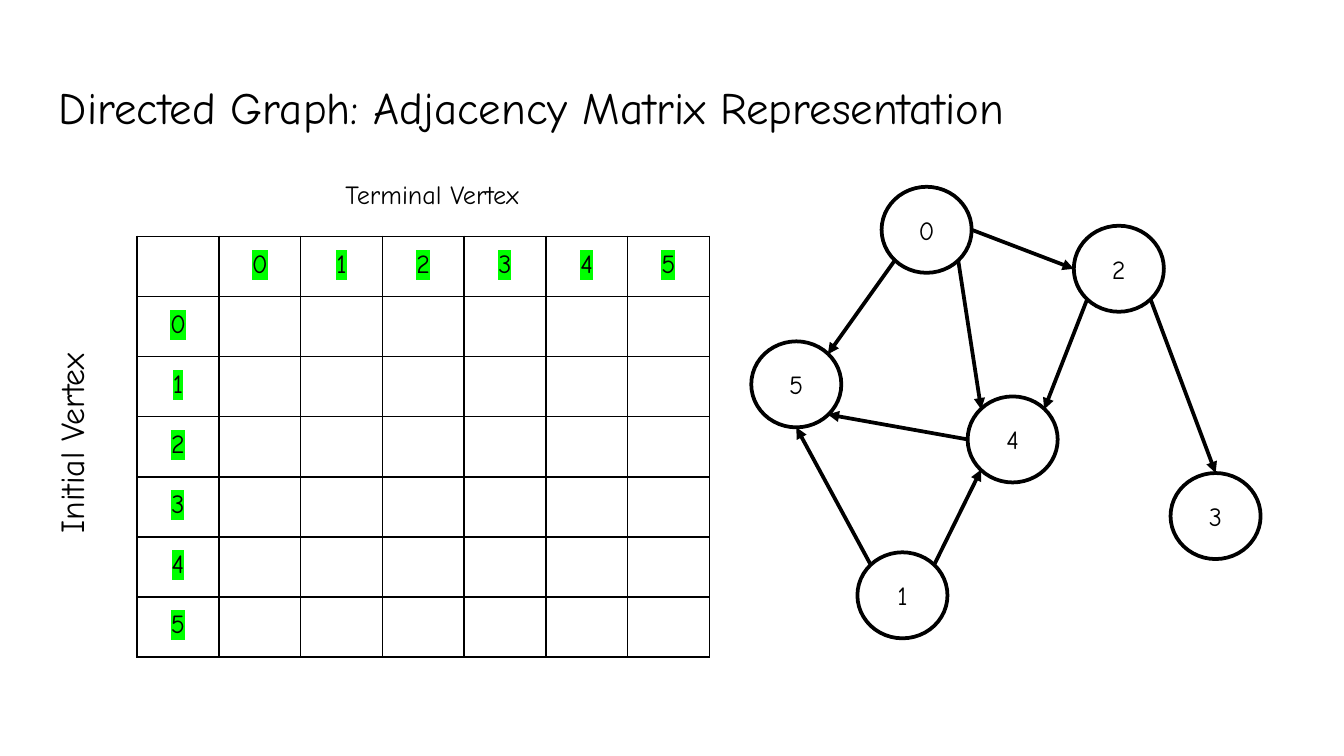
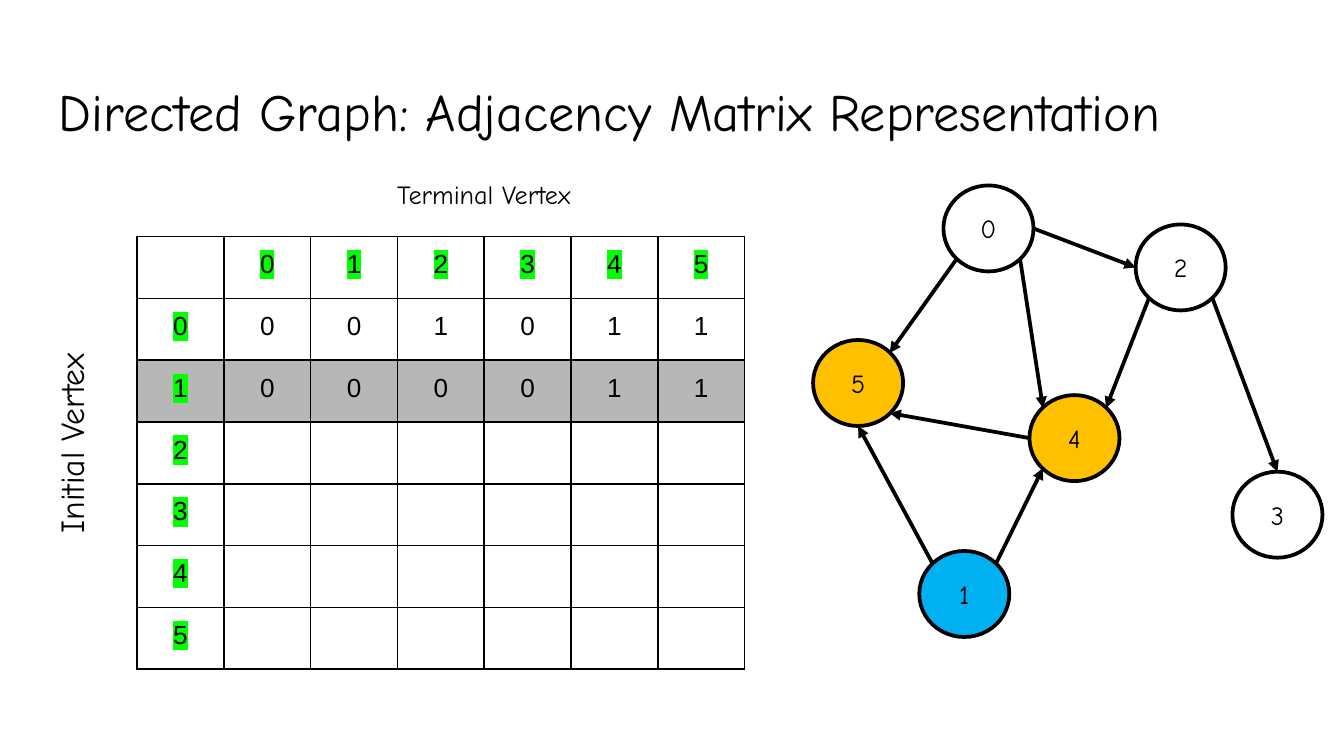
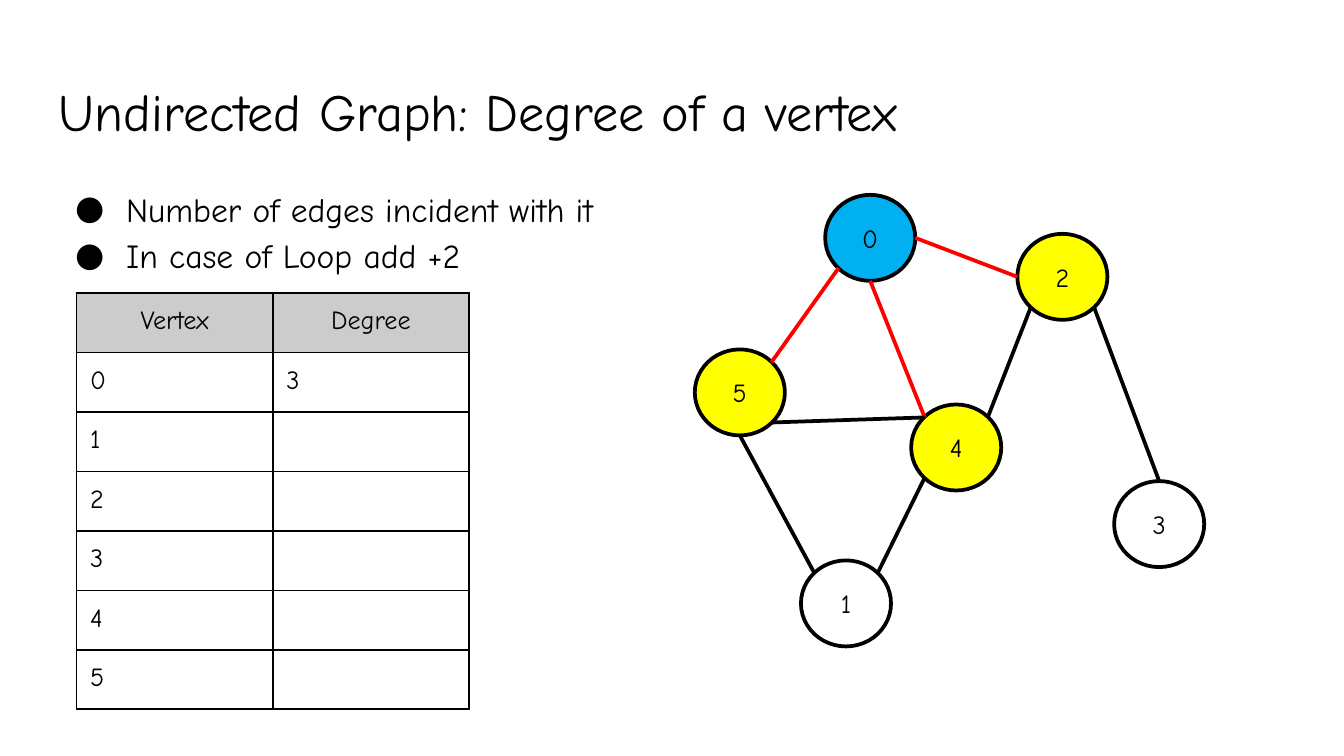
"""Build three slides on graph vertices, edges and adjacency."""
from pptx import Presentation
from pptx import util as u
from pptx.dml.color import RGBColor
from pptx.enum import shapes, text
from pptx.oxml.ns import qn
from lxml import etree

PX = 9144
COLORS = {
    "ink": "000000", "paper": "FFFFFF", "mark": "00FF00", "row": "B7B7B7",
    "head": "CCCCCC", "blue": "00B0F0", "amber": "FFC000", "yellow": "FFFF00",
    "red": "FF0000",
}
FONT = "Comic Neue"
CENTER = text.PP_ALIGN.CENTER
INSET = 10
NODE_W, NODE_H = 67, 64
NODES = {0: (656, 139), 2: (799, 168), 4: (720, 295),
         3: (871, 352), 1: (638, 411), 5: (559, 254)}
SITES = {"n": (0.5, 0), "ne": (0.85, 0.15), "se": (0.85, 0.85), "e": (1, 0.5),
         "s": (0.5, 1), "sw": (0.15, 0.85), "w": (0, 0.5), "nw": (0.15, 0.15)}
DIRECTED = {
    (0, 5): ("sw", "ne"), (0, 2): ("e", "w"), (0, 4): ("se", "nw"),
    (4, 5): ("w", "se"), (1, 5): ("nw", "s"), (1, 4): ("ne", "sw"),
    (2, 4): ("sw", "ne"), (2, 3): ("se", "n"),
}
UNDIRECTED = {**DIRECTED, (0, 4): ("s", "nw"), (4, 5): ("nw", "se")}


def px(*lengths):
    """Turn px lengths into EMU."""
    return [u.Emu(round(n * PX)) for n in lengths]


def rgb(name):
    """Look up a named colour."""
    return RGBColor.from_string(COLORS[name])


def sub(parent, tag, **attrs):
    """Append a DrawingML element."""
    return etree.SubElement(parent, qn(tag), attrs)


def style(p, size, font=FONT, align=None):
    """Set the font and alignment of a paragraph."""
    p.alignment = align
    p.font.size = u.Pt(size)
    p.font.name = font
    p.font.color.rgb = rgb("ink")


def set_insets(tf):
    """Give a text frame or cell the shared margins."""
    tf.margin_left = tf.margin_right = tf.margin_top = tf.margin_bottom = px(INSET)[0]


def add_text(s, box, lines, size, align=None, rotation=0, bullet=None):
    """Add a text box with one paragraph per line."""
    sp = s.shapes.add_textbox(*px(*box))
    sp.rotation = rotation
    tf = sp.text_frame
    tf.word_wrap = True
    set_insets(tf)
    for i, line in enumerate(lines):
        p = tf.paragraphs[0] if i == 0 else tf.add_paragraph()
        p.add_run().text = line
        if bullet:
            pPr = p._p.get_or_add_pPr()
            pPr.set("marL", str(px(50)[0]))
            pPr.set("indent", str(px(-38)[0]))
            sub(pPr, "a:buFont", typeface=FONT)
            sub(pPr, "a:buChar", char=bullet)
            p.line_spacing = 1.15
        style(p, size, align=align)


def add_title(s, title, size=28, width=932):
    """Add the slide title."""
    add_text(s, (34, 49, width, 63), [title], size)


def add_cell_borders(cell):
    """Draw thin lines on all sides of a cell."""
    tcPr = cell._tc.get_or_add_tcPr()
    for side in "LRTB":
        ln = sub(tcPr, f"a:ln{side}", w=str(u.Pt(1)))
        sub(sub(ln, "a:solidFill"), "a:srgbClr", val=COLORS["ink"])


def add_table(s, box, rows, fills, font=FONT, centered=(), marked=False):
    """Add a ruled table with filled rows and optionally marked headers."""
    tbl = s.shapes.add_table(len(rows), len(rows[0]), *px(*box)).table
    tbl.first_row = tbl.horz_banding = False
    for i, row in enumerate(rows):
        for j, value in enumerate(row):
            cell = tbl.cell(i, j)
            set_insets(cell)
            add_cell_borders(cell)
            if i in fills:
                cell.fill.solid()
                cell.fill.fore_color.rgb = rgb(fills[i])
            else:
                cell.fill.background()
            p = cell.text_frame.paragraphs[0]
            style(p, 14, font, CENTER if i in centered else None)
            if value:
                r = p.add_run()
                r.text = value
                if marked and 0 in (i, j):
                    mark = sub(r._r.get_or_add_rPr(), "a:highlight")
                    sub(mark, "a:srgbClr", val=COLORS["mark"])


def add_matrix(s, box, known=(), fills=None, font=FONT):
    """Add the adjacency matrix with values in the known rows."""
    vertices = sorted(NODES)
    rows = [[""] + [str(v) for v in vertices]]
    for a in vertices:
        values = [str(int((a, b) in DIRECTED)) if a in known else "" for b in vertices]
        rows.append([str(a)] + values)
    add_table(s, box, rows, fills or {}, font, range(len(rows)), marked=True)


def add_axis_labels(s, width):
    """Name the rows and columns of the matrix."""
    add_text(s, (-103, 308, 305, 44), ["Initial Vertex"], 18, CENTER, 270)
    add_text(s, (98, 123, width, 35), ["Terminal Vertex"], 14, CENTER)


def add_node(s, vertex, x, y, fill):
    """Add a vertex circle."""
    sp = s.shapes.add_shape(shapes.MSO_SHAPE.FLOWCHART_CONNECTOR,
                            *px(x, y, NODE_W, NODE_H))
    sp.shadow.inherit = False
    sp.fill.solid()
    sp.fill.fore_color.rgb = rgb(fill)
    sp.line.color.rgb = rgb("ink")
    sp.line.width = u.Pt(2)
    tf = sp.text_frame
    set_insets(tf)
    tf.vertical_anchor = text.MSO_ANCHOR.MIDDLE
    p = tf.paragraphs[0]
    p.add_run().text = str(vertex)
    style(p, 14, align=CENTER)


def add_edge(s, start, end, color, arrow):
    """Add an edge, with an arrowhead if directed."""
    cxn = s.shapes.add_connector(shapes.MSO_CONNECTOR.STRAIGHT, *px(*start, *end))
    cxn.line.color.rgb = rgb(color)
    cxn.line.width = u.Pt(2)
    if arrow:
        sub(cxn.line._get_or_add_ln(), "a:tailEnd", type="triangle")
    sub(cxn._element.spPr, "a:effectLst")


def add_graph(s, dx, dy, edges, fills=None, directed=True, hot=None):
    """Add the whole graph, moved by an offset, with edges of one vertex in red."""
    fills = fills or {}
    spots = {v: (x + dx, y + dy) for v, (x, y) in NODES.items()}
    for v, (x, y) in spots.items():
        add_node(s, v, x, y, fills.get(v, "paper"))
    for pair, sites in edges.items():
        ends = [(spots[v][0] + SITES[site][0] * NODE_W,
                 spots[v][1] + SITES[site][1] * NODE_H)
                for v, site in zip(pair, sites)]
        add_edge(s, *ends, "red" if hot in pair else "ink", directed)


def main():
    """Build and save the slides."""
    prs = Presentation()
    prs.slide_width = px(1000)[0]
    prs.slide_height = prs.slide_width * 9 // 16
    blank = prs.slide_layouts[6]
    matrix_title = "Directed Graph: Adjacency Matrix Representation"

    s = prs.slides.add_slide(blank)
    add_title(s, matrix_title, 24)
    add_matrix(s, (102, 176, 426, 313))
    add_axis_labels(s, 447)
    add_graph(s, 0, 0, DIRECTED)

    s = prs.slides.add_slide(blank)
    add_title(s, matrix_title, width=947)
    add_matrix(s, (102, 176, 452, 322), known=(0, 1), fills={2: "row"}, font="Arial")
    add_axis_labels(s, 524)
    add_graph(s, 46, -1, DIRECTED, {1: "blue", 4: "amber", 5: "amber"})

    s = prs.slides.add_slide(blank)
    add_title(s, "Undirected Graph: Degree of a vertex")
    add_text(s, (34, 126, 462, 79),
             ["Number of edges incident with it", "In case of Loop add +2"],
             18, bullet="●")
    degrees = {0: "3"}
    rows = [["Vertex", "Degree"]] + [[str(v), degrees.get(v, "")] for v in sorted(NODES)]
    add_table(s, (57, 218, 292, 310), rows, {0: "head"}, centered=(0,))
    add_graph(s, -42, 6, UNDIRECTED,
              {0: "blue", 2: "yellow", 4: "yellow", 5: "yellow"},
              directed=False, hot=0)

    prs.save("out.pptx")


if __name__ == "__main__":
    main()
